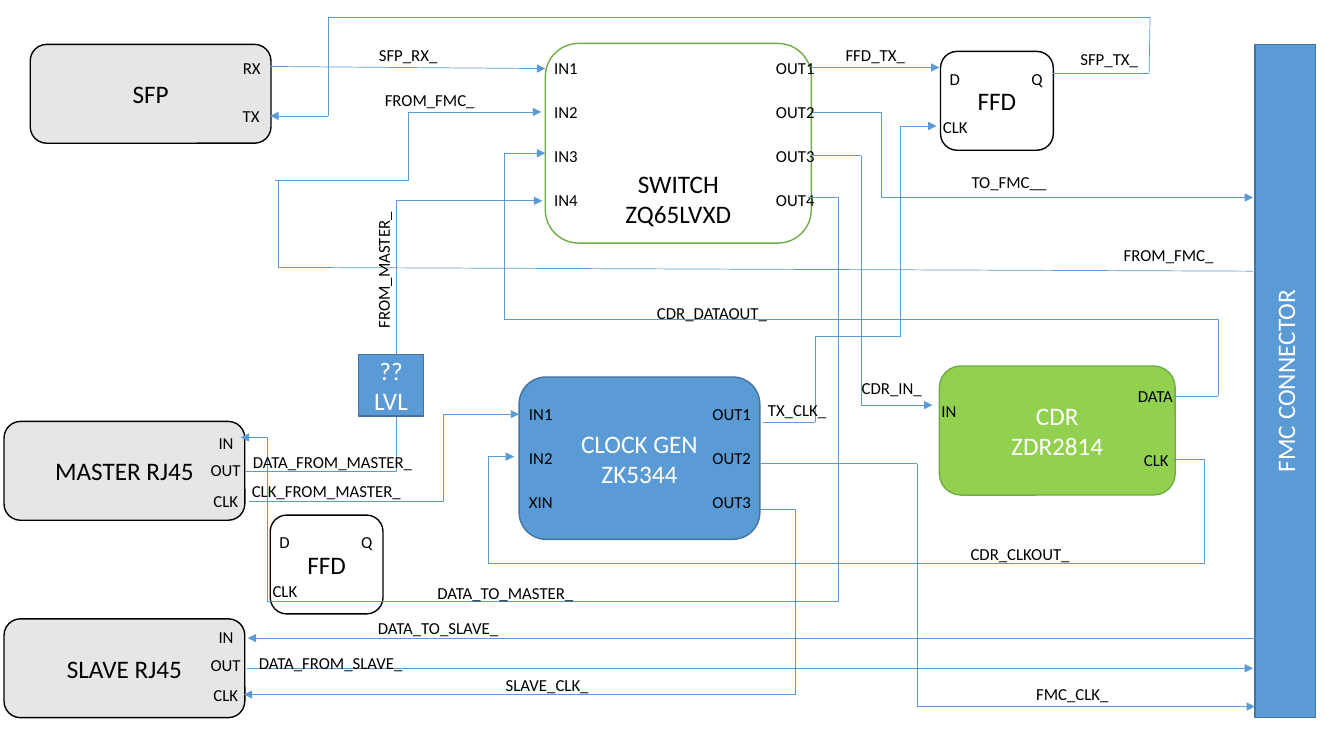
from itertools import pairwise

from lxml.etree import SubElement
from pptx import Presentation
from pptx.dml.color import RGBColor
from pptx.enum.shapes import MSO_CONNECTOR, MSO_SHAPE
from pptx.enum.text import MSO_ANCHOR, MSO_AUTO_SIZE, PP_ALIGN
from pptx.oxml.ns import qn
from pptx.util import Pt

BLACK = RGBColor(0x00, 0x00, 0x00)
WHITE = RGBColor(0xFF, 0xFF, 0xFF)
GREY = RGBColor(0xE7, 0xE6, 0xE6)
BLUE = RGBColor(0x5B, 0x9B, 0xD5)
DARK_BLUE = RGBColor(0x43, 0x73, 0x9E)
GREEN = RGBColor(0x70, 0xAD, 0x47)
LIME = RGBColor(0x92, 0xD0, 0x50)

PIN_WIDTHS = {"D": 22.3, "Q": 23, "IN": 25.2, "RX": 27.4, "TX": 26.6,
              "CLK": 32.4, "OUT": 36.7, "DATA": 40.3}
SWITCH_PITCH = 31.4


class Diagram:
    """Draws blocks, labels and wires on one slide in a shared style."""

    font = "Calibri"
    block_size, label_size = Pt(18), Pt(12)

    def __init__(self, slide):
        """Keep the slide to draw on."""
        self.shapes = slide.shapes

    def block(self, text, x, y, w, h, fill=None, line=BLACK, color=BLACK,
              kind=MSO_SHAPE.ROUNDED_RECTANGLE, anchor=MSO_ANCHOR.MIDDLE):
        """Add a named block; without a fill it is see-through."""
        sp = self.shapes.add_shape(kind, Pt(x), Pt(y), Pt(w), Pt(h))
        sp.shadow.inherit = False
        if fill is None:
            sp.fill.background()
        else:
            sp.fill.solid()
            sp.fill.fore_color.rgb = fill
        sp.line.color.rgb = line
        sp.line.width = Pt(1)
        tf = sp.text_frame
        tf.text = text
        tf.vertical_anchor = anchor
        for p in tf.paragraphs:
            p.alignment = PP_ALIGN.CENTER
            self.style(p, self.block_size, color)
        return sp

    def style(self, p, size, color):
        """Set the font of a paragraph."""
        p.font.name, p.font.size = self.font, size
        p.font.color.rgb = color

    def label(self, text, x, y, w, rotation=0):
        """Add a one-line label."""
        sp = self.shapes.add_textbox(Pt(x), Pt(y), Pt(w), Pt(21.8))
        sp.rotation = rotation
        tf = sp.text_frame
        tf.word_wrap = False
        tf.auto_size = MSO_AUTO_SIZE.SHAPE_TO_FIT_TEXT
        tf.text = text
        self.style(tf.paragraphs[0], self.label_size, BLACK)

    def pin(self, text, x, y):
        """Add a pin name, sized by its letters."""
        self.label(text, x, y, PIN_WIDTHS[text])

    def pin_column(self, names, x, y, w):
        """Add pin names at equal steps down one side of a block."""
        for i, name in enumerate(names):
            self.label(name, x, y + i * SWITCH_PITCH, w)

    def flip_flop(self, x, y):
        """Add a flip-flop with its three pins."""
        self.block("FFD", x, y, 80.6, 70.6)
        self.pin("D", x - 0.5, y + 8.6)
        self.pin("Q", x + 57.8, y + 8.6)
        self.pin("CLK", x - 5.4, y + 43.2)

    def jack(self, text, y, pin_y):
        """Add a network jack with its three pins."""
        self.block(text, 2.9, y, 172, 70.6, GREY)
        self.pin("IN", 149, pin_y)
        self.pin("OUT", 143.3, pin_y + 19.8)
        self.pin("CLK", 145.4, pin_y + 41.4)

    def connector(self, kind, start, end, arrow):
        """Add one connector, with an arrowhead at its end if asked."""
        cn = self.shapes.add_connector(kind, *map(Pt, start + end))
        cn.line.color.rgb = BLUE
        cn.line.width = Pt(0.5)
        if arrow:
            SubElement(cn.line._get_or_add_ln(), qn("a:tailEnd"), type="triangle")
        SubElement(cn._element.spPr, qn("a:effectLst"))
        return cn

    def wire(self, *points, arrow=True):
        """Join points by straight lines, the arrow on the last one."""
        for start, end in pairwise(points):
            self.connector(MSO_CONNECTOR.STRAIGHT, start, end,
                           arrow and end == points[-1])

    def elbow(self, start, end, turn_x):
        """Add a bent arrow whose upright part stands at turn_x."""
        cn = self.connector(MSO_CONNECTOR.ELBOW, start, end, True)
        geom = cn._element.spPr.find(qn("a:prstGeom"))
        guides = geom.find(qn("a:avLst"))
        if guides is None:
            guides = SubElement(geom, qn("a:avLst"))
        ratio = (turn_x - start[0]) / (end[0] - start[0])
        SubElement(guides, qn("a:gd"), name="adj1", fmla=f"val {round(ratio * 100000)}")


prs = Presentation()
prs.slide_width, prs.slide_height = Pt(960), Pt(540)
d = Diagram(prs.slides.add_slide(prs.slide_layouts[6]))

# Blocks and pins
fmc = d.block("FMC CONNECTOR", 896.4, 31.7, 43.2, 481, BLUE, DARK_BLUE, WHITE,
              MSO_SHAPE.RECTANGLE)
fmc.text_frame._txBody.bodyPr.set("vert", "vert270")

d.flip_flop(671.8, 36.7)
d.block("SFP", 21.6, 31.7, 172, 70.6, GREY)
d.pin("RX", 166.3, 37.4)
d.pin("TX", 166.3, 72)

d.block("SWITCH\nZQ65LVXD", 389.5, 31, 190, 142.6, line=GREEN,
        anchor=MSO_ANCHOR.BOTTOM)
d.pin_column(["IN1", "IN2", "IN3", "IN4"], 388.8, 37.4, 31.7)
d.pin_column(["OUT1", "OUT2", "OUT3", "OUT4"], 547.2, 37.4, 42.5)

d.block("CLOCK GEN\nZK5344", 370.8, 269.3, 172, 116, BLUE, DARK_BLUE, WHITE)
d.pin_column(["IN1", "IN2", "XIN"], 370.8, 285.1, 31.7)
d.pin_column(["OUT1", "OUT2", "OUT3"], 501.8, 285.1, 42.5)

d.jack("MASTER RJ45", 301, 305.3)
d.jack("SLAVE RJ45", 442, 444.2)

d.block("CDR\nZDR2814", 671, 261.4, 168.5, 92.2, LIME, GREEN, WHITE)
d.pin("IN", 665.3, 283)
d.pin("DATA", 805.7, 272.2)
d.pin("CLK", 810, 317.5)

# Bent arrows: TO_FMC, FROM_MASTER, CLK_FROM_MASTER, FROM_FMC
d.elbow((581, 80.6), (895, 141.1), 629.7)
d.elbow((175.7, 337), (387.4, 143.5), 283)
d.elbow((177.8, 357.8), (370.8, 295.9), 316.4)
d.elbow((196.6, 129), (386.6, 80), 291.6)

d.block("??\nLVL", 256.3, 253.4, 46.1, 43.9, BLUE, DARK_BLUE, WHITE,
        MSO_SHAPE.RECTANGLE)
d.flip_flop(193, 367.9)

# Straight wires: SFP_TX, SFP_RX, FFD_TX, FROM_FMC
d.wire((752.4, 52.6), (820.8, 52.6), (821.5, 12.2), (234.4, 12.2),
       (234.4, 82.8), (193, 82.8))
d.wire((193, 47.5), (389.5, 49))
d.wire((579.6, 48.2), (671, 48.2))
d.wire((895, 193.7), (198.7, 191), (198.7, 129), arrow=False)
# CDR_IN, CDR_DATAOUT, CDR_CLKOUT
d.wire((579, 111.2), (615, 111.2), (615, 289.4), (666, 289.4))
d.wire((839.5, 283), (870, 283), (870, 228.2), (360, 228.2),
       (360, 109.4), (389.5, 109.4))
d.wire((838, 328.3), (860.4, 328.3), (860.4, 402.5), (348.8, 402.5),
       (348.8, 326.2), (367.2, 326.2))
# FMC_CLK, SLAVE_CLK, TX_CLK
d.wire((543.6, 331.2), (655.2, 331.2), (655.2, 504.7), (896.4, 504.7))
d.wire((542.9, 363.6), (568.4, 363.6), (568.4, 496.1), (174.2, 496.1))
d.wire((545, 301.7), (582.5, 301.7), (582.5, 240.5), (643, 240.5),
       (643, 90), (669, 90))
# DATA_TO_MASTER, DATA_TO_SLAVE, DATA_FROM_SLAVE
d.wire((577.4, 141.1), (599, 141.1), (599, 429.8), (191, 429.8),
       (191, 312.5), (172, 312.5))
d.wire((896.4, 455.8), (177, 455.8))
d.wire((176.4, 477.4), (895, 477.4))

for name, x, y, w in [
    ("SFP_RX_", 263.5, 28.1, 56.9),
    ("FROM_FMC_", 267.8, 60.5, 79.2),
    ("FFD_TX_", 596.9, 28.1, 58.3),
    ("SFP_TX_", 764.6, 31, 56.2),
    ("TO_FMC__", 686.9, 118.8, 68.4),
    ("FROM_FMC_", 795.6, 171.4, 79.2),
    ("CDR_DATAOUT_", 462.2, 212.4, 94.3),
    ("CDR_IN_", 608.4, 266.4, 58.3),
    ("TX_CLK_", 541.4, 282.2, 56.9),
    ("DATA_FROM_MASTER_", 173.5, 319, 129.6),
    ("CLK_FROM_MASTER_", 172.8, 339.8, 122.4),
    ("CDR_CLKOUT_", 686.2, 384.5, 86.4),
    ("DATA_TO_MASTER_", 305.3, 412.6, 113),
    ("DATA_TO_SLAVE_", 262.8, 437.8, 101.5),
    ("DATA_FROM_SLAVE_", 177.8, 463, 118.8),
    ("SLAVE_CLK_", 354.2, 478.1, 74.2),
    ("FMC_CLK_", 733, 484.6, 67),
]:
    d.label(name, x, y, w)
d.label("FROM_MASTER_", 224.6, 181.4, 98.6, rotation=270)

prs.save("out.pptx")
